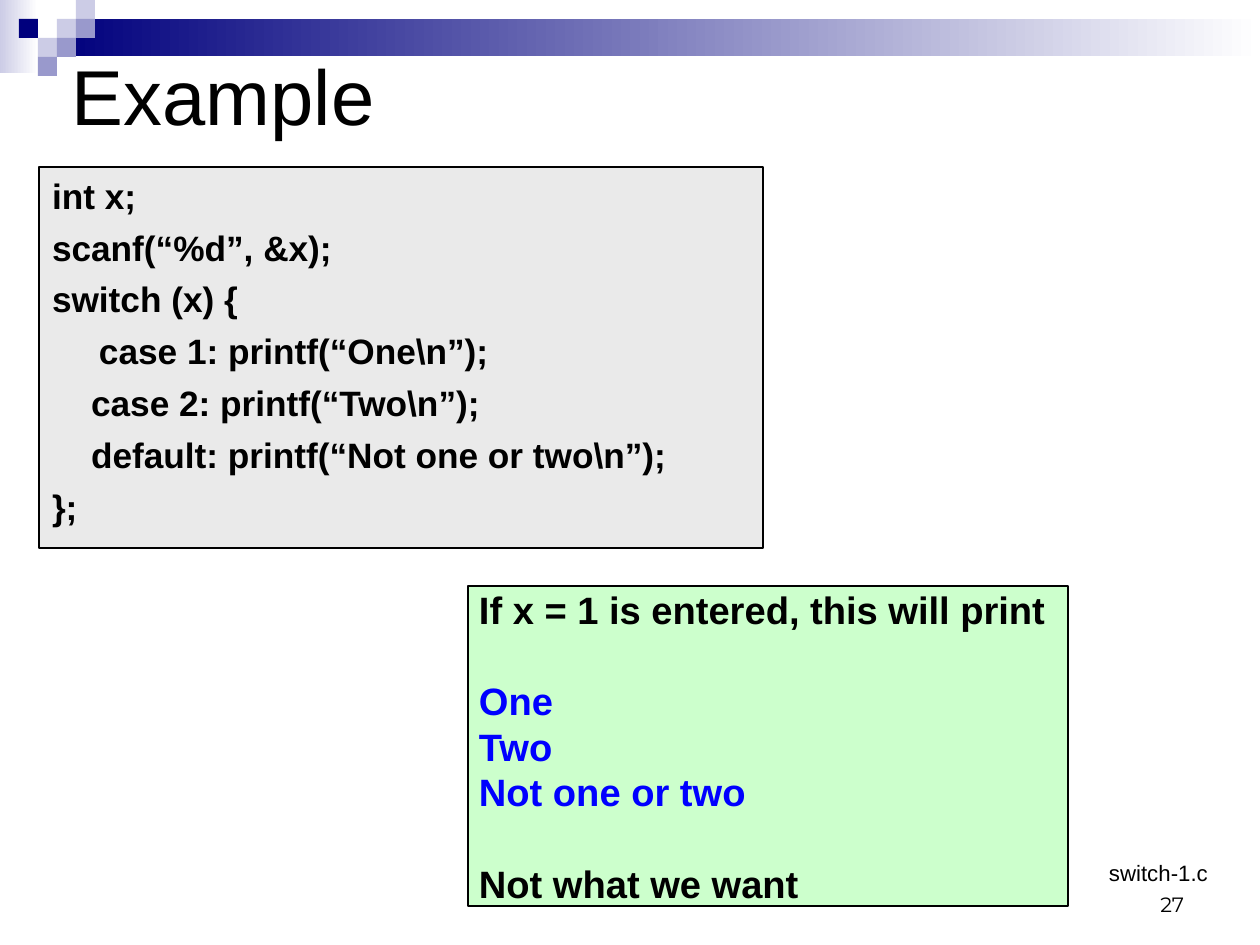
from pptx import Presentation
from pptx.dml.color import RGBColor
from pptx.enum.shapes import MSO_SHAPE
from pptx.enum.text import MSO_ANCHOR, PP_ALIGN
from pptx.util import Pt

PX = 8000
BLACK = RGBColor(0x00, 0x00, 0x00)
WHITE = RGBColor(0xFF, 0xFF, 0xFF)
NAVY = RGBColor(0x00, 0x00, 0x7D)
LAVENDER = RGBColor(0xCC, 0xCC, 0xE6)
PERIWINKLE = RGBColor(0x99, 0x99, 0xCC)
BLUE = RGBColor(0x00, 0x00, 0xFF)
GRAY = RGBColor(0xEA, 0xEA, 0xEA)
MINT = RGBColor(0xCC, 0xFF, 0xCC)

CODE = [
    "int x;",
    "scanf(“%d”, &x);",
    "switch (x) {",
    "\tcase 1: printf(“One\\n”);",
    "    case 2: printf(“Two\\n”);",
    "    default: printf(“Not one or two\\n”);",
    "};",
]
RESULT = [
    ("If x = 1 is entered, this will print", BLACK, 0),
    ("One", BLUE, 28.8),
    ("Two", BLUE, 0),
    ("Not one or two", BLUE, 0),
    ("Not what we want", BLACK, 28.8),
]


def apply_format(target, values):
    """Set every attribute named in values on target."""
    for name, value in values.items():
        setattr(target, name, value)


def to_emu(box):
    """Turn a box in px into EMU."""
    return [length * PX for length in box]


def add_block(slide, box):
    """Add a plain rectangle without line or shadow."""
    block = slide.shapes.add_shape(MSO_SHAPE.RECTANGLE, *to_emu(box))
    block.shadow.inherit = False
    block.line.fill.background()
    return block


def add_fade(slide, box, start):
    """Add a band that fades from start to white, left to right."""
    fill = add_block(slide, box).fill
    fill.gradient()
    fill.gradient_angle = 0
    for stop, color in zip(fill.gradient_stops, (start, WHITE)):
        stop.color.rgb = color


def add_panel(slide, box, color):
    """Add a filled panel with a thin black outline."""
    panel = add_block(slide, box)
    panel.fill.solid()
    panel.fill.fore_color.rgb = color
    panel.line.color.rgb = BLACK
    panel.line.width = Pt(0.75)
    return panel


def write_lines(holder, lines, size, margins=(13, 7), font="Arial", bold=False,
                anchor=MSO_ANCHOR.TOP, align=PP_ALIGN.LEFT):
    """Write (text, colour, space before) lines into a shape or text box."""
    frame = holder.text_frame
    side, edge = to_emu(margins)
    apply_format(frame, {
        "word_wrap": True, "vertical_anchor": anchor,
        "margin_left": side, "margin_right": side,
        "margin_top": edge, "margin_bottom": edge,
    })
    for index, (text, color, before) in enumerate(lines):
        paragraph = frame.add_paragraph() if index else frame.paragraphs[0]
        paragraph.text = text
        apply_format(paragraph, {"alignment": align, "space_before": Pt(before)})
        apply_format(paragraph.font, {"name": font, "size": Pt(size), "bold": bold})
        paragraph.font.color.rgb = color


def add_header(slide, box):
    """Draw the fading bands and the stepped squares at the top."""
    left, top, width, height = box
    side = 19
    add_fade(slide, (left, top, 2 * side, height), LAVENDER)
    add_fade(slide, (left + 3 * side, top + side, width - 3 * side, 2 * side - 1), NAVY)
    cells = {NAVY: [(1, 1)],
             LAVENDER: [(3, 1), (4, 0), (2, 2)],
             PERIWINKLE: [(4, 1), (3, 2), (2, 3)]}
    for color, places in cells.items():
        for column, row in places:
            square = add_block(slide, (left + column * side, top + row * side, side, side))
            square.fill.solid()
            square.fill.fore_color.rgb = color


def add_label(slide, box, text, size, **layout):
    """Add a one-line text box."""
    label = slide.shapes.add_textbox(*to_emu(box))
    write_lines(label, [(text, BLACK, 0)], size, **layout)


def add_code(slide, box):
    """Add the code listing with its hanging indent."""
    panel = add_panel(slide, box, GRAY)
    lines = [(text, BLACK, 6 if index else 0) for index, text in enumerate(CODE)]
    write_lines(panel, lines, 22.2, bold=True)
    indent = 47 * PX
    for paragraph in panel.text_frame.paragraphs:
        properties = paragraph._p.get_or_add_pPr()
        properties.set("marL", str(indent))
        properties.set("indent", str(-indent))


def add_result(slide, box):
    """Add the panel with the printed output."""
    panel = add_panel(slide, box, MINT)
    write_lines(panel, RESULT, 24, margins=(11, 0), bold=True)


def main():
    """Build and save the slide."""
    deck = Presentation()
    apply_format(deck, {"slide_width": 1260 * PX, "slide_height": 945 * PX})
    slide = deck.slides.add_slide(deck.slide_layouts[6])
    add_header(slide, (0, 0, 1260, 73))
    add_label(slide, (903, 861, 294, 63), "27", 13, font="Montserrat",
              anchor=MSO_ANCHOR.BOTTOM, align=PP_ALIGN.RIGHT)
    add_label(slide, (59, 0, 1134, 189), "Example", 49, anchor=MSO_ANCHOR.MIDDLE)
    add_code(slide, (39, 167, 724, 381))
    add_result(slide, (468, 586, 600, 320))
    add_label(slide, (1098, 853, 162, 39), "switch-1.c", 14, margins=(11, 6))
    deck.save("out.pptx")


if __name__ == "__main__":
    main()
